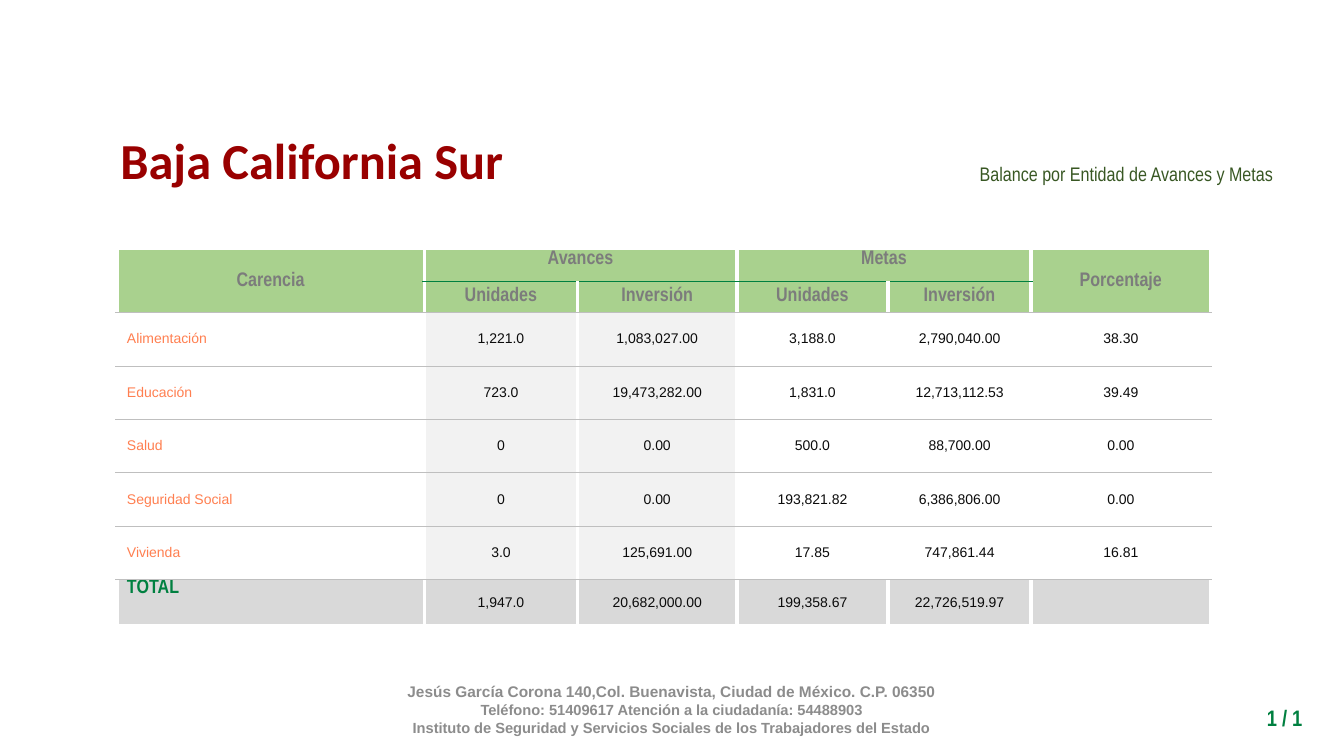
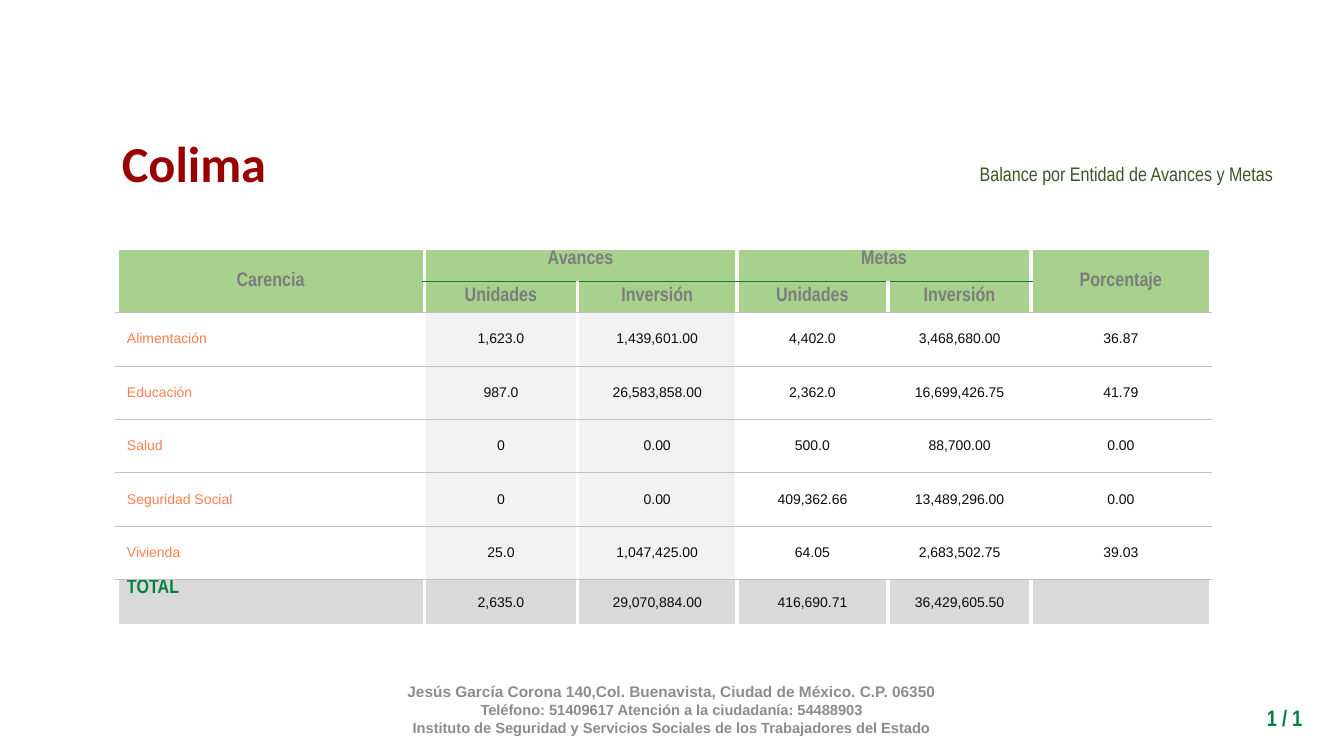
from dataclasses import dataclass
from itertools import product

from lxml.etree import SubElement
from pptx import Presentation
from pptx.dml.color import RGBColor
from pptx.enum.text import MSO_ANCHOR, MSO_AUTO_SIZE, PP_ALIGN
from pptx.oxml.ns import qn
from pptx.util import Inches, Pt


@dataclass(frozen=True)
class TextStyle:
    font: str
    size: float
    color: str
    bold: bool = False


@dataclass(frozen=True)
class Theme:
    title: TextStyle = TextStyle("Calibri", 36, "990000", True)
    subtitle: TextStyle = TextStyle("Arial Narrow", 14, "385723")
    address: TextStyle = TextStyle("Arial", 11, "8C8C8C", True)
    contact: TextStyle = TextStyle("Arial", 10.5, "8C8C8C", True)
    page: TextStyle = TextStyle("Arial Narrow", 16, "008040", True)
    header: TextStyle = TextStyle("Arial Narrow", 14, "7C7C7C", True)
    label: TextStyle = TextStyle("Arial", 10, "FF7F50")
    value: TextStyle = TextStyle("Arial", 10, "0B0B0B")
    total: TextStyle = TextStyle("Arial Narrow", 14, "008040", True)
    header_fill: str = "A9D18E"
    progress_fill: str = "F2F2F2"
    total_fill: str = "D9D9D9"
    gap: tuple = ("FFFFFF", 3)
    row_line: tuple = ("BFBFBF", 0.5)
    group_line: tuple = ("008040", 0.25)


GRID_UNIT = Inches(0.1)
SLIDE_SIZE = (133.33, 75)
TABLE_ORIGIN = (11.6, 24.8)
COLUMN_WIDTHS = (30.5, 15.2, 15.8, 15, 14.2, 17.8)
ROW_HEIGHTS = (3.1, 3.1, 5.3, 5.3, 5.3, 5.3, 5.3, 4.6)
LAST_ROW = len(ROW_HEIGHTS) - 1
GROUP_COLUMNS = range(1, 5)
HEADERS = [
    ("Carencia", "Avances", "", "Metas", "", "Porcentaje"),
    ("", "Unidades", "Inversión", "Unidades", "Inversión", ""),
]
MERGES = [((0, 0), (1, 0)), ((0, 1), (0, 2)), ((0, 3), (0, 4)), ((0, 5), (1, 5))]
LABELS = ("Alimentación", "Educación", "Salud", "Seguridad Social", "Vivienda", "TOTAL")
STATES = [
    ("Baja California Sur", (10, 12.3, 41.9, 7.1), [
        ("1,221.0", "1,083,027.00", "3,188.0", "2,790,040.00", "38.30"),
        ("723.0", "19,473,282.00", "1,831.0", "12,713,112.53", "39.49"),
        ("0", "0.00", "500.0", "88,700.00", "0.00"),
        ("0", "0.00", "193,821.82", "6,386,806.00", "0.00"),
        ("3.0", "125,691.00", "17.85", "747,861.44", "16.81"),
        ("1,947.0", "20,682,000.00", "199,358.67", "22,726,519.97", ""),
    ]),
    ("Colima", (11, 12.6, 16.5, 7.1), [
        ("1,623.0", "1,439,601.00", "4,402.0", "3,468,680.00", "36.87"),
        ("987.0", "26,583,858.00", "2,362.0", "16,699,426.75", "41.79"),
        ("0", "0.00", "500.0", "88,700.00", "0.00"),
        ("0", "0.00", "409,362.66", "13,489,296.00", "0.00"),
        ("25.0", "1,047,425.00", "64.05", "2,683,502.75", "39.03"),
        ("2,635.0", "29,070,884.00", "416,690.71", "36,429,605.50", ""),
    ]),
]


def grid(*lengths):
    return [round(length * GRID_UNIT) for length in lengths]


def format_paragraph(paragraph, style, alignment):
    paragraph.alignment = alignment
    for run in paragraph.runs:
        run.font.name = style.font
        run.font.size = Pt(style.size)
        run.font.bold = style.bold
        run.font.color.rgb = RGBColor.from_string(style.color)


def draw_border(cell, side, line):
    properties = cell._tc.get_or_add_tcPr()
    border = SubElement(properties, qn(f"a:ln{side}"))
    if line is None:
        border.set("w", "0")
        SubElement(border, qn("a:noFill"))
        return
    color, width = line
    border.set("w", str(Pt(width)))
    fill = SubElement(border, qn("a:solidFill"))
    SubElement(fill, qn("a:srgbClr")).set("val", color)


class BalanceDeck:
    def __init__(self, theme):
        self.theme = theme
        self.presentation = Presentation()
        self.presentation.slide_width, self.presentation.slide_height = grid(*SLIDE_SIZE)
        self.layout = self.presentation.slide_layouts[5]
        self.slide = None

    def add_slide(self):
        self.slide = self.presentation.slides.add_slide(self.layout)

    def title(self, text, box):
        shape = self.slide.shapes.title
        shape.left, shape.top, shape.width, shape.height = grid(*box)
        frame = shape.text_frame
        frame.text = text
        frame.word_wrap = False
        frame.auto_size = MSO_AUTO_SIZE.NONE
        frame.vertical_anchor = MSO_ANCHOR.TOP
        format_paragraph(frame.paragraphs[0], self.theme.title, PP_ALIGN.CENTER)

    def text(self, lines, box, styles, alignment, anchor=MSO_ANCHOR.TOP, spacing=None):
        shape = self.slide.shapes.add_textbox(*grid(*box))
        frame = shape.text_frame
        frame.word_wrap = True
        frame.vertical_anchor = anchor
        frame.text = "\n".join(lines)
        for paragraph, style in zip(frame.paragraphs, styles):
            format_paragraph(paragraph, style, alignment)
            paragraph.line_spacing = spacing
        return shape

    def subtitle(self, text):
        self.text([text], (66.9, 12.3, 60.4, 9.5), [self.theme.subtitle],
                  PP_ALIGN.RIGHT, MSO_ANCHOR.MIDDLE, 1.15)

    def page_number(self, text):
        self.text([text], (117.6, 69.4, 12.6, 3.7), [self.theme.page], PP_ALIGN.RIGHT)

    def shared_footer(self, lines):
        theme = self.theme
        shape = self.text(lines, (28.8, 67.7, 75.7, 5.3),
                          [theme.address, theme.contact, theme.contact], PP_ALIGN.CENTER)
        shape.text_frame.margin_top = shape.text_frame.margin_bottom = 0
        self.layout.shapes.element.append(shape.element)

    def horizontal_line(self, edge, column):
        if edge == 1:
            return self.theme.group_line if column in GROUP_COLUMNS else None
        if edge > LAST_ROW:
            return self.theme.gap
        return self.theme.row_line if edge else None

    def vertical_line(self, row, edge):
        return None if row == 0 and edge in (2, 4) else self.theme.gap

    def cell_fill(self, row, column):
        if row < len(HEADERS):
            return self.theme.header_fill
        if row == LAST_ROW:
            return self.theme.total_fill
        return self.theme.progress_fill if column in (1, 2) else None

    def cell_style(self, row, column):
        if row < len(HEADERS):
            return self.theme.header
        if column:
            return self.theme.value
        return self.theme.total if row == LAST_ROW else self.theme.label

    def cell(self, table, row, column, text):
        cell = table.cell(row, column)
        cell.text = text
        cell.margin_top = cell.margin_bottom = 0
        is_label = column == 0 and row >= len(HEADERS)
        is_top = row == 0 and column in GROUP_COLUMNS or is_label and row == LAST_ROW
        cell.vertical_anchor = MSO_ANCHOR.TOP if is_top else MSO_ANCHOR.MIDDLE
        format_paragraph(cell.text_frame.paragraphs[0], self.cell_style(row, column),
                         PP_ALIGN.LEFT if is_label else PP_ALIGN.CENTER)
        draw_border(cell, "L", self.vertical_line(row, column))
        draw_border(cell, "R", self.vertical_line(row, column + 1))
        draw_border(cell, "T", self.horizontal_line(row, column))
        draw_border(cell, "B", self.horizontal_line(row + 1, column))
        color = self.cell_fill(row, column)
        if color:
            cell.fill.solid()
            cell.fill.fore_color.rgb = RGBColor.from_string(color)
        else:
            cell.fill.background()

    def table(self, values):
        rows = HEADERS + [(label, *row) for label, row in zip(LABELS, values)]
        size = (sum(COLUMN_WIDTHS), sum(ROW_HEIGHTS))
        table = self.slide.shapes.add_table(
            len(ROW_HEIGHTS), len(COLUMN_WIDTHS), *grid(*TABLE_ORIGIN, *size)).table
        table.first_row = table.horz_banding = False
        for column, width in zip(table.columns, grid(*COLUMN_WIDTHS)):
            column.width = width
        for row, height in zip(table.rows, grid(*ROW_HEIGHTS)):
            row.height = height
        for row, column in product(range(len(ROW_HEIGHTS)), range(len(COLUMN_WIDTHS))):
            self.cell(table, row, column, rows[row][column])
        for first, last in MERGES:
            table.cell(*first).merge(table.cell(*last))


def main():
    deck = BalanceDeck(Theme())
    for name, title_box, values in STATES:
        deck.add_slide()
        deck.table(values)
        deck.subtitle("Balance por Entidad de Avances y Metas")
        deck.page_number("1 / 1")
        deck.title(name, title_box)
    deck.shared_footer([
        "Jesús García Corona 140,Col. Buenavista, Ciudad de México. C.P. 06350",
        "Teléfono: 51409617 Atención a la ciudadanía: 54488903",
        "Instituto de Seguridad y Servicios Sociales de los Trabajadores del Estado",
    ])
    deck.presentation.save("out.pptx")


if __name__ == "__main__":
    main()
